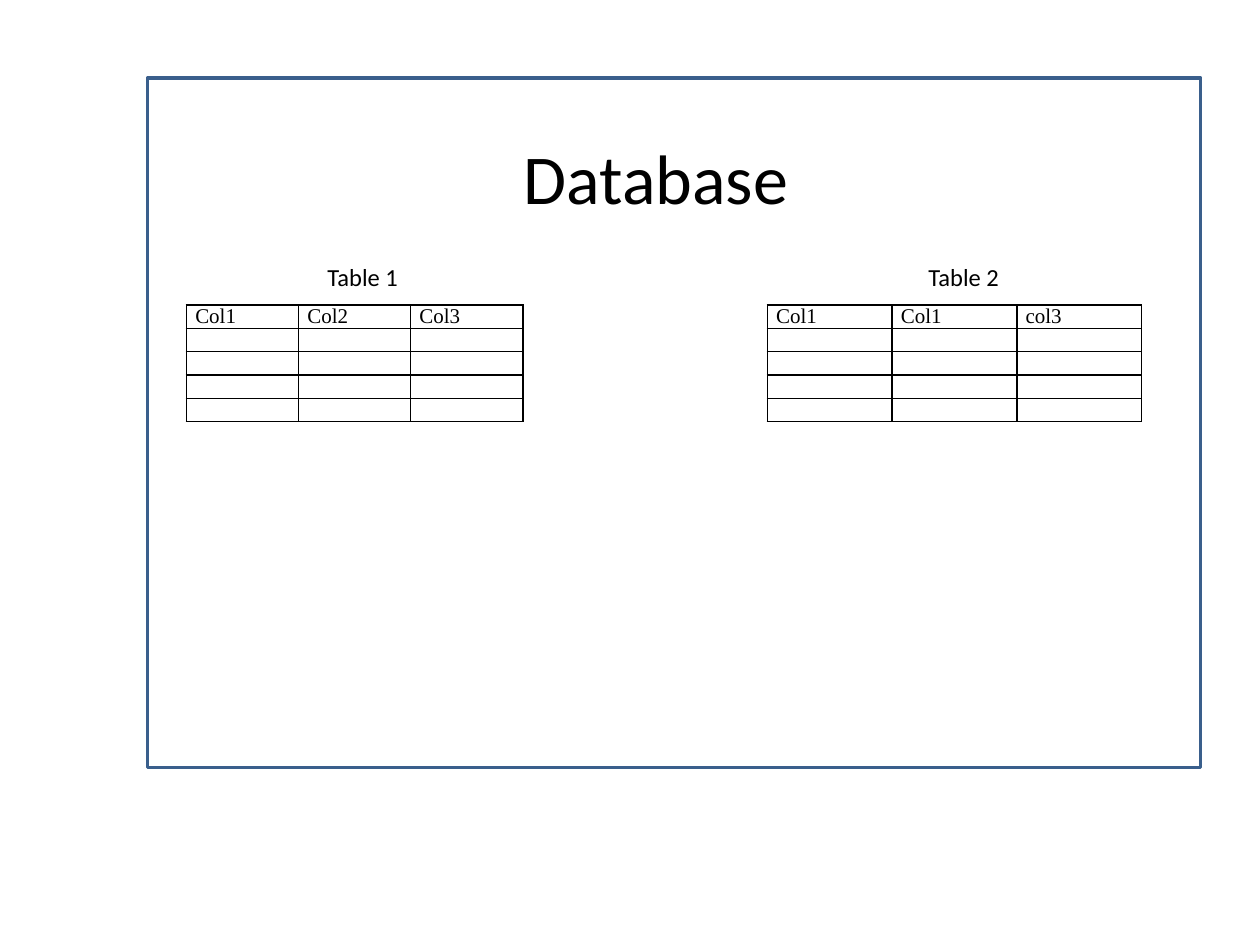
from lxml import etree
from pptx import Presentation
from pptx import util as u
from pptx.dml.color import RGBColor
from pptx.enum import shapes, text
from pptx.oxml import ns

BLACK = "000000"
ROW_COUNT = 5
ROW_HEIGHT = 0.16
TABLE_TOP = 2.42
CAPTION_TOP = 2.03


def color(value):
    return RGBColor.from_string(value)


def apply_format(target, values):
    for name, value in values.items():
        setattr(target, name, value)


def add_frame(page, left, top, width, height):
    frame = page.shapes.add_shape(
        shapes.MSO_SHAPE.RECTANGLE, *map(u.Inches, (left, top, width, height)))
    frame.shadow.inherit = False
    frame.fill.background()
    frame.line.color.rgb = color("3A5F8C")
    frame.line.width = u.Pt(2)


def add_label(page, words, left, top, width, height, size):
    box = page.shapes.add_textbox(*map(u.Inches, (left, top, width, height)))
    apply_format(box.text_frame, {
        "word_wrap": True, "auto_size": text.MSO_AUTO_SIZE.SHAPE_TO_FIT_TEXT})
    span = box.text_frame.paragraphs[0].add_run()
    span.text = words
    apply_format(span.font, {"name": "Calibri", "size": u.Pt(size)})
    span.font.color.rgb = color(BLACK)


def add_borders(cell):
    properties = cell._tc.get_or_add_tcPr()
    for position, side in enumerate(("lnL", "lnR", "lnT", "lnB")):
        line = etree.Element(ns.qn(f"a:{side}"), w=str(u.Pt(1)))
        fill = etree.SubElement(line, ns.qn("a:solidFill"))
        etree.SubElement(fill, ns.qn("a:srgbClr"), val=BLACK)
        properties.insert(position, line)


def fill_cell(cell, words):
    apply_format(cell, {
        "margin_left": u.Inches(0.07), "margin_right": u.Inches(0.07),
        "margin_top": 0, "margin_bottom": 0})
    cell.fill.background()
    add_borders(cell)
    para = cell.text_frame.paragraphs[0]
    if words:
        span = para.add_run()
        span.text = words
        apply_format(span.font, {"name": "Times New Roman", "size": u.Pt(12)})
        span.font.color.rgb = color(BLACK)
    else:
        ending = etree.SubElement(para._p, ns.qn("a:endParaRPr"), sz="1200")
        etree.SubElement(ending, ns.qn("a:latin"), typeface="Times New Roman")


def add_grid(page, headings, left, column_width):
    grid = page.shapes.add_table(
        ROW_COUNT, len(headings), u.Inches(left), u.Inches(TABLE_TOP),
        u.Inches(column_width * len(headings)),
        u.Inches(ROW_HEIGHT * ROW_COUNT)).table
    apply_format(grid, {"first_row": False, "horz_banding": False})
    for column in grid.columns:
        column.width = u.Inches(column_width)
    for index, row in enumerate(grid.rows):
        row.height = u.Inches(ROW_HEIGHT)
        for cell, heading in zip(row.cells, headings):
            fill_cell(cell, "" if index else heading)


def main():
    deck = Presentation()
    apply_format(deck, {
        "slide_width": u.Inches(10), "slide_height": u.Inches(7.5)})
    page = deck.slides.add_slide(deck.slide_layouts[6])
    add_grid(page, ("Col1", "Col2", "Col3"), 1.48, 0.89)
    add_frame(page, 1.17, 0.62, 8.36, 5.47)
    add_grid(page, ("Col1", "Col1", "col3"), 6.09, 0.99)
    add_label(page, "Database", 4.06, 1.02, 2.34, 0.77, 40)
    for caption, left in (("Table 1", 2.5), ("Table 2", 7.27)):
        add_label(page, caption, left, CAPTION_TOP, 1.17, 0.34, 14)
    deck.save("out.pptx")


if __name__ == "__main__":
    main()
